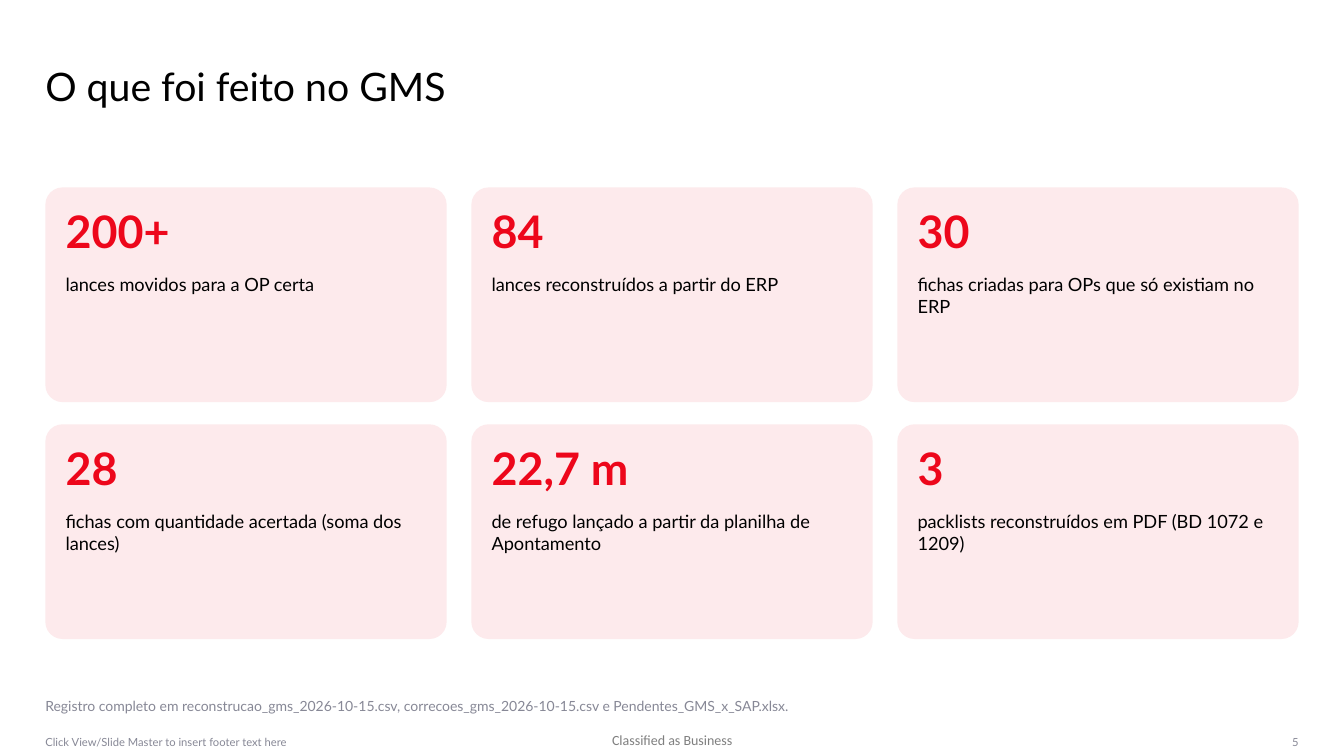
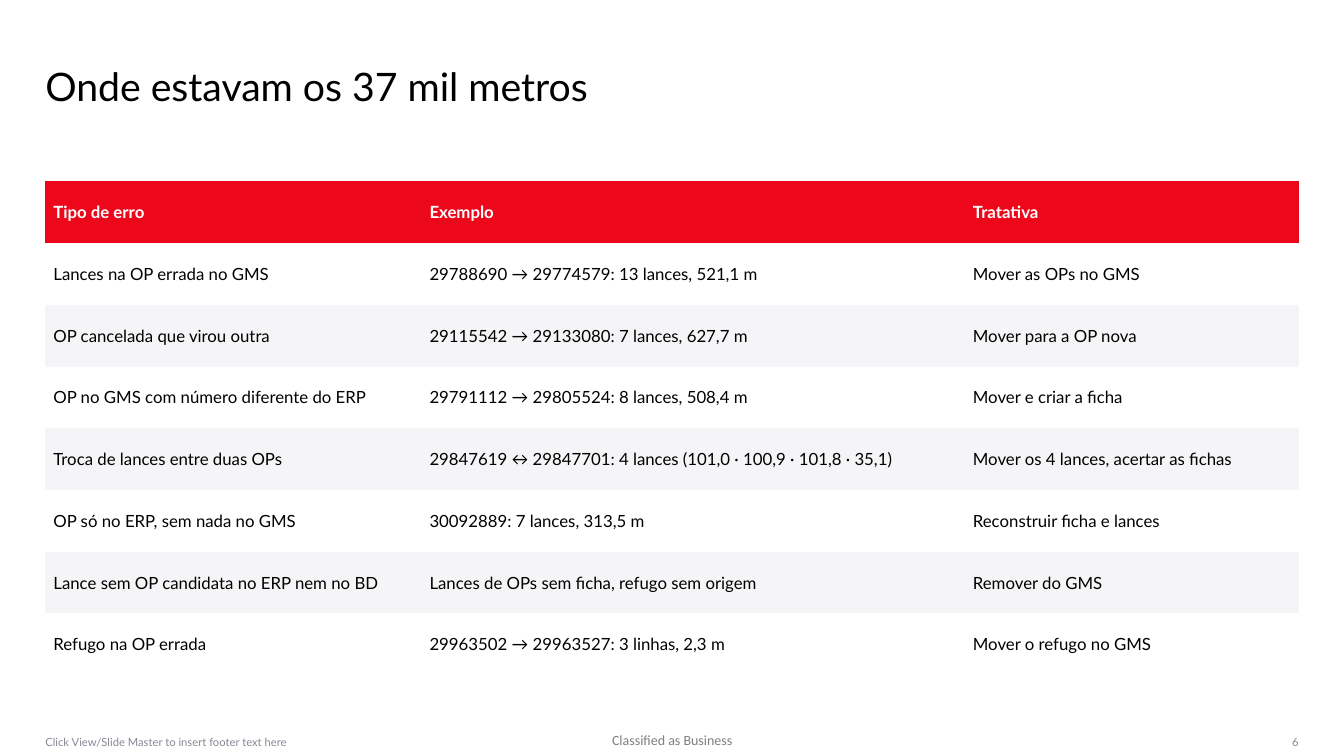
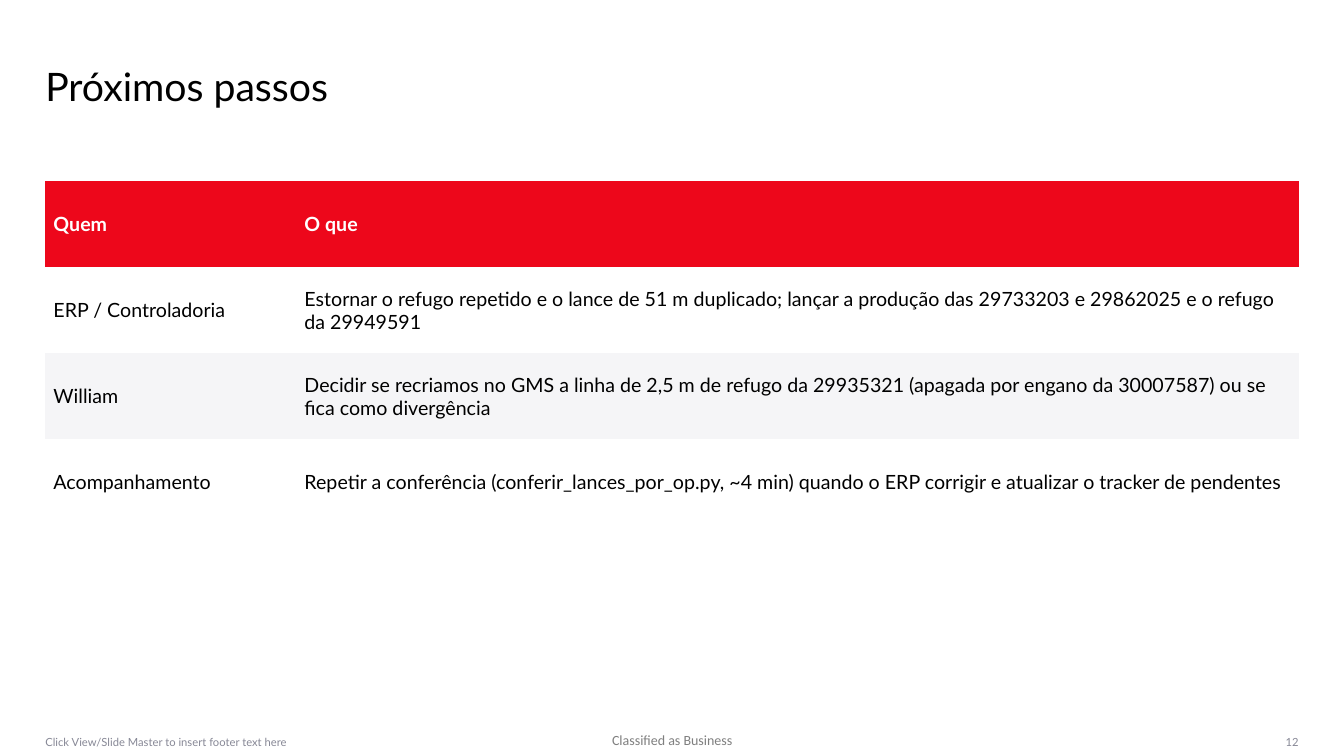
"""Build three slides on the GMS reconciliation: results, error types and next steps."""
from pptx import Presentation
from pptx.dml.color import RGBColor
from pptx.enum.shapes import MSO_SHAPE
from pptx.enum.text import MSO_ANCHOR, MSO_AUTO_SIZE, PP_ALIGN
from pptx.oxml.ns import qn
from pptx.util import Inches, Pt

RED = RGBColor(0xED, 0x07, 0x1B)
PINK = RGBColor(0xFD, 0xEA, 0xEC)
PALE = RGBColor(0xF5, 0xF5, 0xF7)
SLATE = RGBColor(0x87, 0x88, 0x96)
GRAY = RGBColor(0x7F, 0x7F, 0x7F)
BLACK = RGBColor(0, 0, 0)
WHITE = RGBColor(0xFF, 0xFF, 0xFF)
FONT = "Lato"
NO_STYLE = "{2D5ABB26-0587-4C30-8999-92F81FD0307C}"
LEFT, WIDTH = 0.45, 12.43


def add_text(s, text, x, y, w, h, size, color, bold=False, font=FONT, anchor=MSO_ANCHOR.TOP):
    tf = s.shapes.add_textbox(Inches(x), Inches(y), Inches(w), Inches(h)).text_frame
    tf.word_wrap = True
    tf.vertical_anchor = anchor
    tf.margin_left = tf.margin_top = tf.margin_right = tf.margin_bottom = 0
    p = tf.paragraphs[0]
    p.text = text
    p.font.name, p.font.size, p.font.bold = font, Pt(size), bold
    p.font.color.rgb = color
    return p


def add_slide(title, number):
    s = prs.slides.add_slide(prs.slide_layouts[5])
    sp = s.shapes.title
    sp.left, sp.top, sp.width, sp.height = Inches(LEFT), Inches(0.65), Inches(9.27), Inches(0.88)
    tf = sp.text_frame
    tf.auto_size = MSO_AUTO_SIZE.NONE
    tf.vertical_anchor = MSO_ANCHOR.TOP
    tf.margin_left = tf.margin_top = tf.margin_right = tf.margin_bottom = 0
    p = tf.paragraphs[0]
    p.text = title
    p.alignment, p.line_spacing = PP_ALIGN.LEFT, 0.95
    p.font.name, p.font.size, p.font.color.rgb = FONT, Pt(28), BLACK
    p = add_text(s, str(number), 12.6, 7.32, 0.28, 0.11, 8, SLATE, anchor=MSO_ANCHOR.MIDDLE)
    p.alignment, p.line_spacing = PP_ALIGN.RIGHT, 0.83
    p = add_text(s, "Click View/Slide Master to insert footer text here",
                 LEFT, 7.32, 5.5, 0.11, 8, SLATE, anchor=MSO_ANCHOR.MIDDLE)
    p.line_spacing = 0.83
    p = add_text(s, "Classified as Business", 6.07, 7.26, 1.22, 0.17, 10, GRAY, font="Calibri")
    p.alignment = PP_ALIGN.LEFT
    return s


prs = Presentation()
prs.slide_width, prs.slide_height = Inches(13.33), Inches(7.5)

s = add_slide("O que foi feito no GMS", 5)
cards = [
    ("200+", "lances movidos para a OP certa"),
    ("84", "lances reconstruídos a partir do ERP"),
    ("30", "fichas criadas para OPs que só existiam no ERP"),
    ("28", "fichas com quantidade acertada (soma dos lances)"),
    ("22,7 m", "de refugo lançado a partir da planilha de Apontamento"),
    ("3", "packlists reconstruídos em PDF (BD 1072 e 1209)"),
]
card_w, card_h, columns = 3.98, 2.13, 3
step_x, step_y = (WIDTH - card_w) / (columns - 1), 2.35
for i, (figure, label) in enumerate(cards):
    row, col = divmod(i, columns)
    x, y = LEFT + col * step_x, 1.86 + row * step_y
    sp = s.shapes.add_shape(MSO_SHAPE.ROUNDED_RECTANGLE,
                            Inches(x), Inches(y), Inches(card_w), Inches(card_h))
    sp.adjustments[0] = 0.08
    sp.shadow.inherit = False
    sp.fill.solid()
    sp.fill.fore_color.rgb = PINK
    sp.line.fill.background()
    add_text(s, figure, x + 0.2, y + 0.16, 3.59, 0.66, 32, RED, bold=True)
    add_text(s, label, x + 0.2, y + 0.85, 3.59, 1.2, 13, BLACK)
add_text(s, "Registro completo em reconstrucao_gms_2026-10-15.csv, "
         "correcoes_gms_2026-10-15.csv e Pendentes_GMS_x_SAP.xlsx.",
         LEFT, 6.92, WIDTH, 0.27, 10, SLATE)

errors = [
    ("Tipo de erro", "Exemplo", "Tratativa"),
    ("Lances na OP errada no GMS", "29788690 → 29774579: 13 lances, 521,1 m", "Mover as OPs no GMS"),
    ("OP cancelada que virou outra", "29115542 → 29133080: 7 lances, 627,7 m", "Mover para a OP nova"),
    ("OP no GMS com número diferente do ERP", "29791112 → 29805524: 8 lances, 508,4 m",
     "Mover e criar a ficha"),
    ("Troca de lances entre duas OPs", "29847619 ↔ 29847701: 4 lances (101,0 · 100,9 · 101,8 · 35,1)",
     "Mover os 4 lances, acertar as fichas"),
    ("OP só no ERP, sem nada no GMS", "30092889: 7 lances, 313,5 m", "Reconstruir ficha e lances"),
    ("Lance sem OP candidata no ERP nem no BD", "Lances de OPs sem ficha, refugo sem origem",
     "Remover do GMS"),
    ("Refugo na OP errada", "29963502 → 29963527: 3 linhas, 2,3 m", "Mover o refugo no GMS"),
]
steps = [
    ("Quem", "O que"),
    ("ERP / Controladoria", "Estornar o refugo repetido e o lance de 51 m duplicado; lançar a produção "
     "das 29733203 e 29862025 e o refugo da 29949591"),
    ("William", "Decidir se recriamos no GMS a linha de 2,5 m de refugo da 29935321 "
     "(apagada por engano da 30007587) ou se fica como divergência"),
    ("Acompanhamento", "Repetir a conferência (conferir_lances_por_op.py, ~4 min) quando o ERP corrigir "
     "e atualizar o tracker de pendentes"),
]
tables = [
    ("Onde estavam os 37 mil metros", 6, errors, (3.73, 5.39, 3.31), 4.9, 12),
    ("Próximos passos", 12, steps, (2.49, 9.94), 3.41, 14),
]
for title, number, rows, widths, height, size in tables:
    s = add_slide(title, number)
    frame = s.shapes.add_table(len(rows), len(widths), Inches(LEFT), Inches(1.8),
                               Inches(WIDTH), Inches(height))
    frame.element.find(".//" + qn("a:tableStyleId")).text = NO_STYLE
    table = frame.table
    for column, width in zip(table.columns, widths):
        column.width = Inches(width)
    for r, texts in enumerate(rows):
        for c, text in enumerate(texts):
            cell = table.cell(r, c)
            cell.vertical_anchor = MSO_ANCHOR.MIDDLE
            cell.margin_left = cell.margin_right = Inches(0.08)
            cell.margin_top = cell.margin_bottom = Inches(0.04)
            cell.fill.solid()
            cell.fill.fore_color.rgb = RED if r == 0 else WHITE if r % 2 else PALE
            p = cell.text_frame.paragraphs[0]
            p.text = text
            p.font.name, p.font.size, p.font.bold = FONT, Pt(size), r == 0
            p.font.color.rgb = WHITE if r == 0 else BLACK

prs.save("out.pptx")
